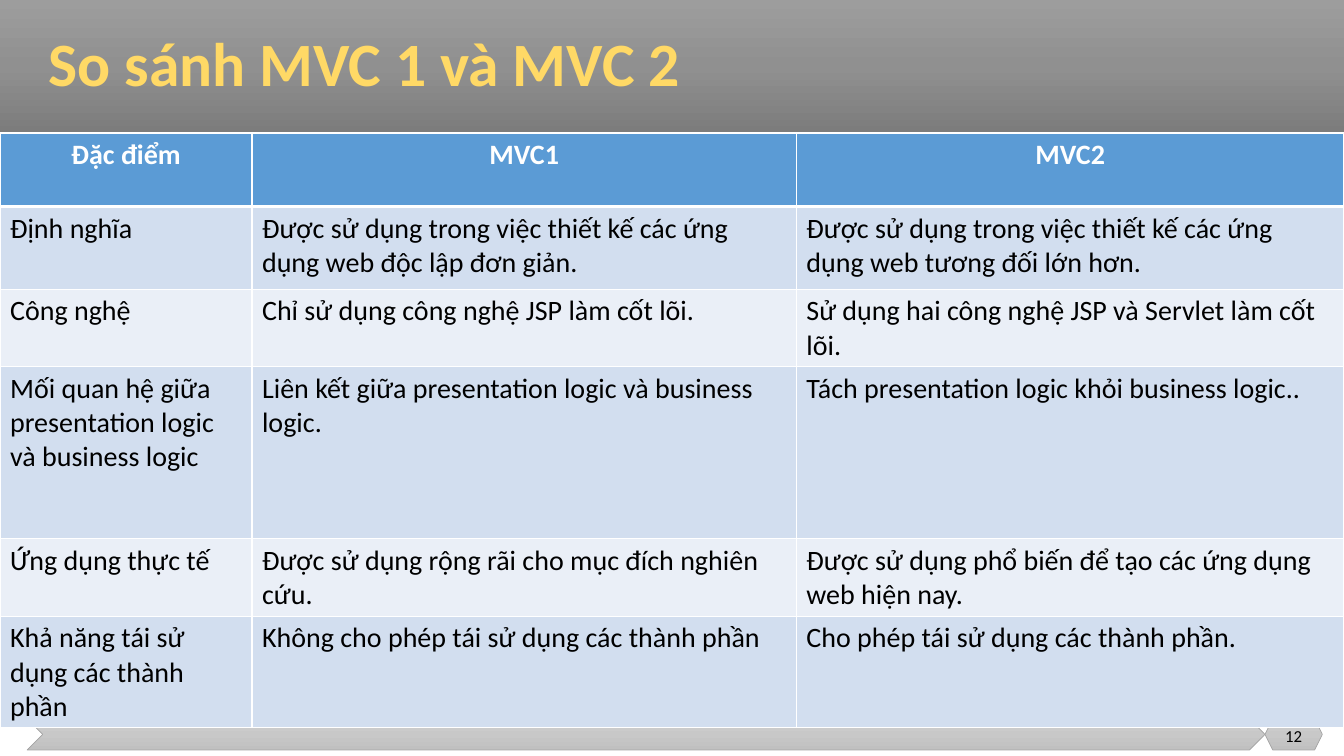
from copy import deepcopy

from lxml import etree
from pptx import Presentation
from pptx.dml.color import RGBColor
from pptx.enum import shapes, text
from pptx.oxml.ns import qn
from pptx.util import Pt

COLORS = {
    "gold": "FFD966", "white": "FFFFFF", "black": "000000", "outline": "A5A5A5",
    "header": "5B9BD5", "odd": "D2DEEF", "even": "EAEFF7",
}
BAND_GRADIENT = ("9D9D9D", "909090", "7C7C7C")
FOOTER_GRADIENT = ("D2D2D2", "C8C8C8", "C0C0C0")
COLUMN_WIDTHS = (180, 388.8, 391.2)
ROW_HEIGHTS = (52.6, 59, 52.6, 123.1, 52.6, 76.3)
COMPARISON = (
    ("Đặc điểm", "MVC1", "MVC2"),
    ("Định nghĩa",
     "Được sử dụng trong việc thiết kế các ứng dụng web độc lập đơn giản.",
     "Được sử dụng trong việc thiết kế các ứng dụng web tương đối lớn hơn."),
    ("Công nghệ",
     "Chỉ sử dụng công nghệ JSP làm cốt lõi.",
     "Sử dụng hai công nghệ JSP và Servlet làm cốt lõi."),
    ("Mối quan hệ giữa presentation logic và business logic",
     "Liên kết giữa presentation logic và business logic.",
     "Tách presentation logic khỏi business logic.."),
    ("Ứng dụng thực tế",
     "Được sử dụng rộng rãi cho mục đích nghiên cứu.",
     "Được sử dụng phổ biến để tạo các ứng dụng web hiện nay."),
    ("Khả năng tái sử dụng các thành phần",
     "Không cho phép tái sử dụng các thành phần",
     "Cho phép tái sử dụng các thành phần."),
)


class SlideBuilder:
    """Hold the style and the current slide, and add its elements."""

    font = "Calibri"

    def __init__(self, deck):
        self.slide = deck.slides.add_slide(deck.slide_layouts[5])

    def add_words(self, frame, words, size, color, bold=False, align=text.PP_ALIGN.LEFT):
        paragraph = frame.paragraphs[0]
        paragraph.alignment = align
        run = paragraph.add_run()
        run.text = words
        run.font.name = self.font
        run.font.size = Pt(size)
        run.font.bold = bold
        run.font.color.rgb = RGBColor.from_string(COLORS[color])
        return paragraph

    def panel(self, kind, box, gradient, outlined=True):
        panel = self.slide.shapes.add_shape(kind, *map(Pt, box))
        panel.shadow.inherit = False
        panel.fill.gradient()
        panel.fill.gradient_angle = 270
        stops = next(panel._element.iter(qn("a:gsLst")))
        stops.insert(1, deepcopy(stops[0]))
        for stop, shade, position in zip(panel.fill.gradient_stops, gradient, (0, 0.5, 1)):
            stop.color.rgb = RGBColor.from_string(shade)
            stop.position = position
        if outlined:
            panel.line.color.rgb = RGBColor.from_string(COLORS["outline"])
            panel.line.width = Pt(0.5)
        else:
            panel.line.fill.background()

    def title(self, words, box):
        title = self.slide.shapes.title
        title.left, title.top, title.width, title.height = map(Pt, box)
        self.slide.shapes._spTree.append(title._element)
        frame = title.text_frame
        frame.auto_size = text.MSO_AUTO_SIZE.NONE
        frame.vertical_anchor = text.MSO_ANCHOR.MIDDLE
        self.add_words(frame, words, 44, "gold", bold=True).line_spacing = 0.9

    def page_number(self, number, box):
        frame = self.slide.shapes.add_textbox(*map(Pt, box)).text_frame
        frame.word_wrap = True
        frame.vertical_anchor = text.MSO_ANCHOR.MIDDLE
        self.add_words(frame, number, 12, "black", align=text.PP_ALIGN.CENTER)

    def border(self, cell, sides):
        properties = cell._tc.get_or_add_tcPr()
        for index, (side, width) in enumerate(sides.items()):
            line = etree.Element(qn(f"a:ln{side}"), w=str(Pt(width)))
            fill = etree.SubElement(line, qn("a:solidFill"))
            etree.SubElement(fill, qn("a:srgbClr"), val=COLORS["white"])
            properties.insert(index, line)

    def table(self, rows, left, top, widths, heights):
        table = self.slide.shapes.add_table(
            len(rows), len(widths), Pt(left), Pt(top), Pt(sum(widths)), Pt(sum(heights))
        ).table
        for column, width in zip(table.columns, widths):
            column.width = Pt(width)
        for r, (row, height) in enumerate(zip(rows, heights)):
            table.rows[r].height = Pt(height)
            head = r == 0
            shade = "header" if head else ("even", "odd")[r % 2]
            for c, words in enumerate(row):
                cell = table.cell(r, c)
                cell.fill.solid()
                cell.fill.fore_color.rgb = RGBColor.from_string(COLORS[shade])
                self.border(cell, {"L": 1, "R": 1, "T": 3 if r == 1 else 1, "B": 3 if head else 1})
                self.add_words(cell.text_frame, words, 20, "white" if head else "black", head,
                               text.PP_ALIGN.CENTER if head else text.PP_ALIGN.LEFT)


def main():
    deck = Presentation()
    deck.slide_width, deck.slide_height = Pt(960), Pt(540)
    builder = SlideBuilder(deck)
    preset = shapes.MSO_SHAPE
    builder.panel(preset.RECTANGLE, (0, 0, 960, 95), BAND_GRADIENT, outlined=False)
    builder.panel(preset.CHEVRON, (19.4, 513.4, 884.2, 22.3), FOOTER_GRADIENT)
    builder.panel(preset.HEXAGON, (903.6, 513.4, 41, 22.3), FOOTER_GRADIENT)
    builder.title("So sánh MVC 1 và MVC 2", (27.4, 0, 917.3, 95))
    builder.page_number("12", (903.6, 511.2, 41, 28.8))
    builder.table(COMPARISON, 0, 95, COLUMN_WIDTHS, ROW_HEIGHTS)
    deck.save("out.pptx")


if __name__ == "__main__":
    main()
